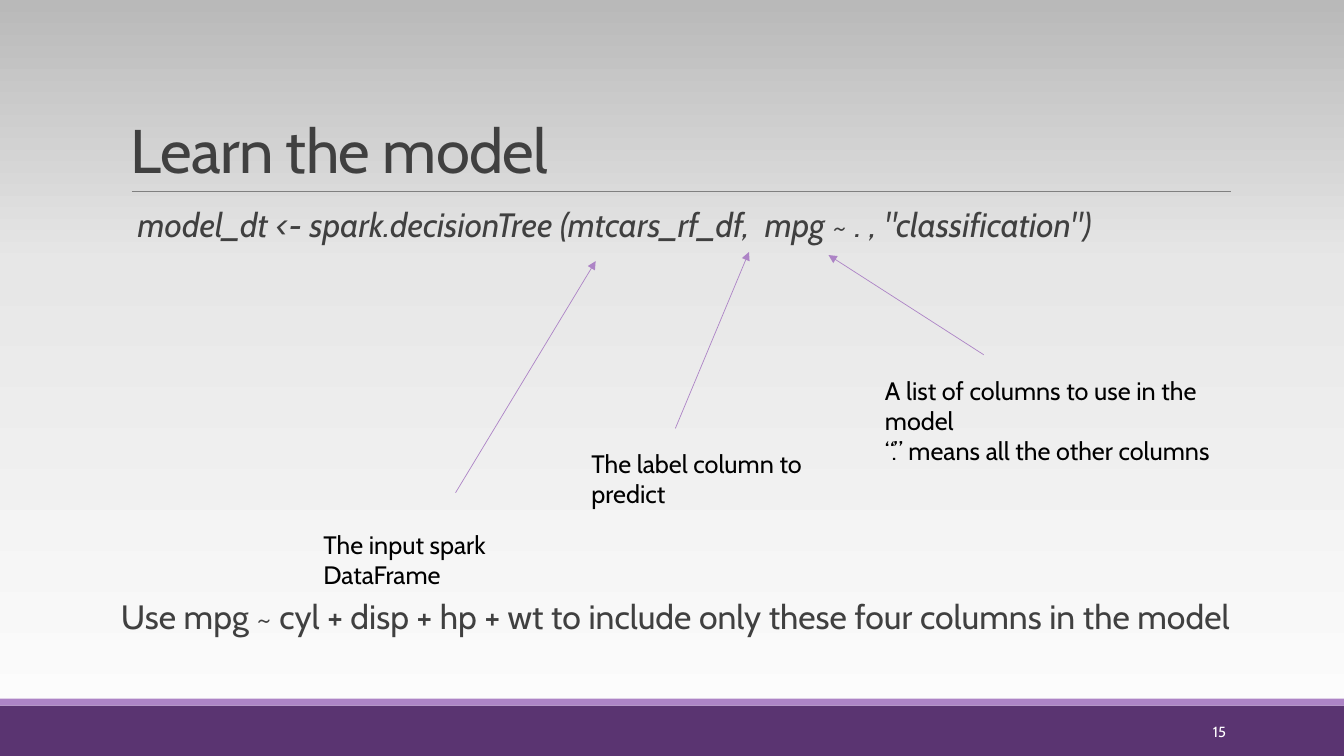
from copy import deepcopy

from pptx import Presentation
from pptx.dml.color import RGBColor
from pptx.enum.shapes import MSO_CONNECTOR as Link, MSO_SHAPE as Form
from pptx.enum.text import MSO_ANCHOR as Anchor, PP_ALIGN as Align
from pptx.oxml.ns import qn
from pptx.oxml.xmlchemy import OxmlElement as Node
from pptx.util import Pt

WIDE, HIGH = 960, 540
FONT = "Cabin"
DARK, LILAC, PLUM = "404040", "AD84C6", "5A3471"


def tint(code):
    return RGBColor.from_string(code)


def back(slide, stops):
    """Fill the background with (position, colour) stops, bottom to top."""
    fill = slide.background.fill
    fill.gradient()
    fill.gradient_angle = 90
    row = slide.element.find(".//" + qn("a:gsLst"))
    while len(row) < len(stops):
        row.append(deepcopy(row[0]))
    for stop, (pos, code) in zip(fill.gradient_stops, stops):
        stop.position = pos
        stop.color.rgb = tint(code)


def band(slide, top, high, code):
    bar = slide.shapes.add_shape(Form.RECTANGLE, 0, Pt(top), Pt(WIDE), Pt(high))
    bar.shadow.inherit = False
    bar.fill.solid()
    bar.fill.fore_color.rgb = tint(code)
    bar.line.fill.background()


def rule(slide, start, end, code, arrow=False):
    ends = [Pt(n) for n in (*start, *end)]
    link = slide.shapes.add_connector(Link.STRAIGHT, *ends)
    link.line.width = Pt(0.5)
    link.line.color.rgb = tint(code)
    link.element.spPr.append(Node("a:effectLst"))
    if arrow:
        tip = Node("a:tailEnd")
        tip.set("type", "triangle")
        link.line._get_or_add_ln().append(tip)


def text(slide, place, lines, size, code, anchor=Anchor.TOP, align=Align.LEFT,
         sides=(7.2, 7.2), space=1.0, italic=False, track=0):
    """Add a text box; sides are the left and right insets."""
    box = slide.shapes.add_textbox(*[Pt(n) for n in place])
    frame = box.text_frame
    frame.word_wrap = True
    frame.vertical_anchor = anchor
    frame.margin_left, frame.margin_right = [Pt(n) for n in sides]
    for i, line in enumerate(lines):
        para = frame.add_paragraph() if i else frame.paragraphs[0]
        para.alignment = align
        para.line_spacing = space
        run = para.add_run()
        run.text = line
        font = run.font
        font.name, font.size, font.italic = FONT, Pt(size), italic
        font.color.rgb = tint(code)
        if track:
            run._r.get_or_add_rPr().set("spc", str(track))


def note(slide, place, lines, start, end):
    """Add a remark and the arrow that leads from it to the code."""
    rule(slide, start, end, LILAC, arrow=True)
    text(slide, place, lines, 18, "000000", sides=(7.2, 36))


def main():
    deck = Presentation()
    deck.slide_width, deck.slide_height = Pt(WIDE), Pt(HIGH)
    slide = deck.slides.add_slide(deck.slide_layouts[6])

    back(slide, [(0, "FEFEFE"), (0.65, "E7E7E7"), (1, "B9B9B9")])
    band(slide, 504, 36, PLUM)
    band(slide, 499, 5, LILAC)
    rule(slide, (94.3, 136.8), (879.1, 136.8), "808080")

    text(slide, (86.4, 22.5, 792, 114.2), ["Learn the model"], 44, DARK,
         anchor=Anchor.BOTTOM, space=0.85, track=-50)
    text(slide, (86.4, 145.5, 792, 36),
         ['model_dt <- spark.decisionTree (mtcars_rf_df,  mpg ~ . , "classification")'],
         24.1, DARK, sides=(12, 0), space=0.9, italic=True)
    text(slide, (86.4, 425.5, 800, 36),
         ["Use mpg ~ cyl + disp + hp + wt to include only these four columns in the model"],
         24.1, DARK, sides=(0, 0), space=0.9)

    note(slide, (223.9, 374.4, 216.7, 29), ["The input spark DataFrame"],
         (325.4, 352), (425.5, 186.5))
    note(slide, (415.4, 316.6, 218.9, 29), ["The label column to predict"],
         (482.4, 306), (535, 180))
    note(slide, (625, 264.2, 287.3, 51),
         ["A list of columns to use in the model", "“.” means all the other columns"],
         (702.7, 253.4), (591.8, 182.2))

    text(slide, (779.8, 508.3, 103, 28.8), ["15"], 10.5, "FFFFFF",
         anchor=Anchor.MIDDLE, align=Align.RIGHT)
    deck.save("out.pptx")


if __name__ == "__main__":
    main()
